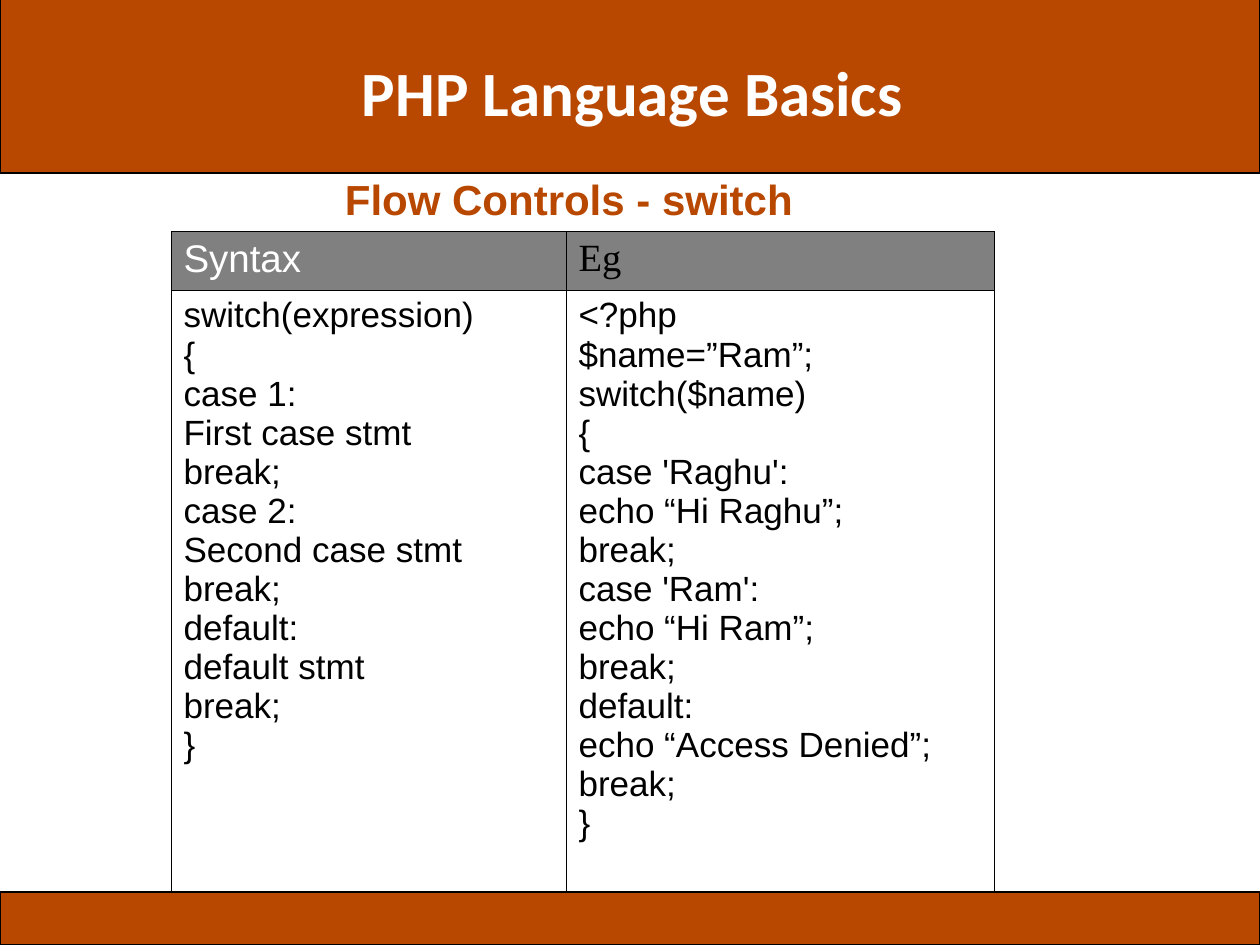
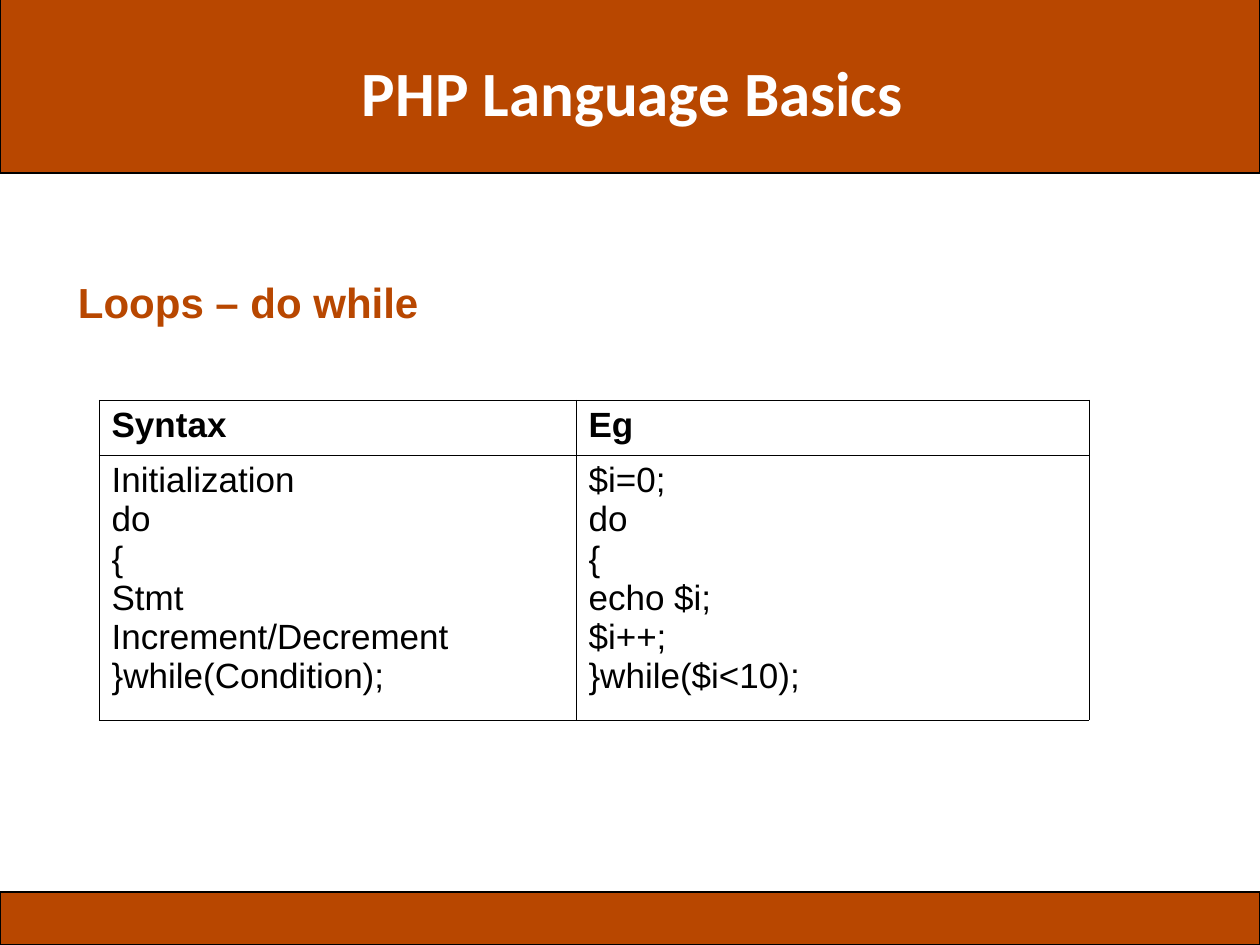
from lxml.etree import SubElement
from pptx import Presentation
from pptx.dml.color import RGBColor
from pptx.enum.shapes import MSO_SHAPE
from pptx.enum.text import MSO_ANCHOR, PP_ALIGN
from pptx.oxml.ns import qn
from pptx.util import Emu, Pt

HUE = {"rust": "B84700", "white": "FFFFFF", "black": "000000", "gray": "808080"}


def px(*nums):
    return [Emu(round(num * 914400 / 126)) for num in nums]


def write(frame, text, face, size, hue, bold=False):
    frame.text = text
    for para in frame.paragraphs:
        font = para.font
        font.name, font.size, font.bold = face, Pt(size), bold
        font.color.rgb = RGBColor.from_string(HUE[hue])


BANDS = [(-25, 198), (892, 53)]
PAGES = [
    {
        "head": "Flow Controls - switch", "spot": (345, 174),
        "at": (171, 231), "cols": (395, 428), "rows": (59, 601),
        "fill": "gray",
        "tops": [("Syntax", "Arial", 22, "white"),
                 ("Eg", "Times New Roman", 22, "black")],
        "code": ["""switch(expression)
{
case 1:
First case stmt
break;
case 2:
Second case stmt
break;
default:
default stmt
break;
}""", """<?php
$name=”Ram”;
switch($name)
{
case 'Raghu':
echo “Hi Raghu”;
break;
case 'Ram':
echo “Hi Ram”;
break;
default:
echo “Access Denied”;
break;
}"""],
    },
    {
        "head": "Loops – do while", "spot": (78, 277),
        "at": (99, 400), "cols": (477, 513), "rows": (55, 265),
        "fill": None,
        "tops": [("Syntax", "Arial", 20, "black", True),
                 ("Eg", "Arial", 20, "black", True)],
        "code": ["""Initialization
do
{
Stmt
Increment/Decrement
}while(Condition);""", """$i=0;
do
{
echo $i;
$i++;
}while($i<10);"""],
    },
]

deck = Presentation()
deck.slide_width, deck.slide_height = px(1260, 945)

for page in PAGES:
    slide = deck.slides.add_slide(deck.slide_layouts[6])
    shapes = slide.shapes

    for top, tall in BANDS:
        band = shapes.add_shape(MSO_SHAPE.RECTANGLE, *px(0, top, 1260, tall))
        band.shadow.inherit = False
        band.fill.solid()
        band.fill.fore_color.rgb = RGBColor.from_string(HUE["rust"])
        band.line.color.rgb = RGBColor.from_string(HUE["black"])
        band.line.width = Pt(1)

    left, top = page["spot"]
    title = ("PHP Language Basics", "Calibri", 36, "white", True)
    head = (page["head"], "Arial", 24, "rust", True)
    for area, words in [((248, 55, 769, 73), title),
                        ((left, top, 1190 - left, 48), head)]:
        frame = shapes.add_textbox(*px(*area)).text_frame
        frame.word_wrap = True
        frame.margin_left = frame.margin_right = 0
        frame.margin_top = frame.margin_bottom = 0
        write(frame, *words)
        if words is title:
            frame.vertical_anchor = MSO_ANCHOR.MIDDLE
            frame.paragraphs[0].alignment = PP_ALIGN.CENTER

    cols, rows = page["cols"], page["rows"]
    grid = shapes.add_table(2, 2, *px(*page["at"], sum(cols), sum(rows))).table
    grid.first_row = grid.horz_banding = False
    for col, wide in zip(grid.columns, px(*cols)):
        col.width = wide
    for row, tall in zip(grid.rows, px(*rows)):
        row.height = tall

    body = [(code, "Arial", 20, "black") for code in page["code"]]
    fills = [page["fill"]] * 2 + [None] * 2
    for cell, words, fill in zip(grid.iter_cells(), page["tops"] + body, fills):
        write(cell.text_frame, *words)
        props = cell._tc.get_or_add_tcPr()
        for side in ("lnL", "lnR", "lnT", "lnB"):
            edge = SubElement(props, qn("a:" + side), w="762")
            paint = SubElement(edge, qn("a:solidFill"))
            SubElement(paint, qn("a:srgbClr"), val=HUE["black"])
        if fill:
            cell.fill.solid()
            cell.fill.fore_color.rgb = RGBColor.from_string(HUE[fill])
        else:
            cell.fill.background()

deck.save("out.pptx")
